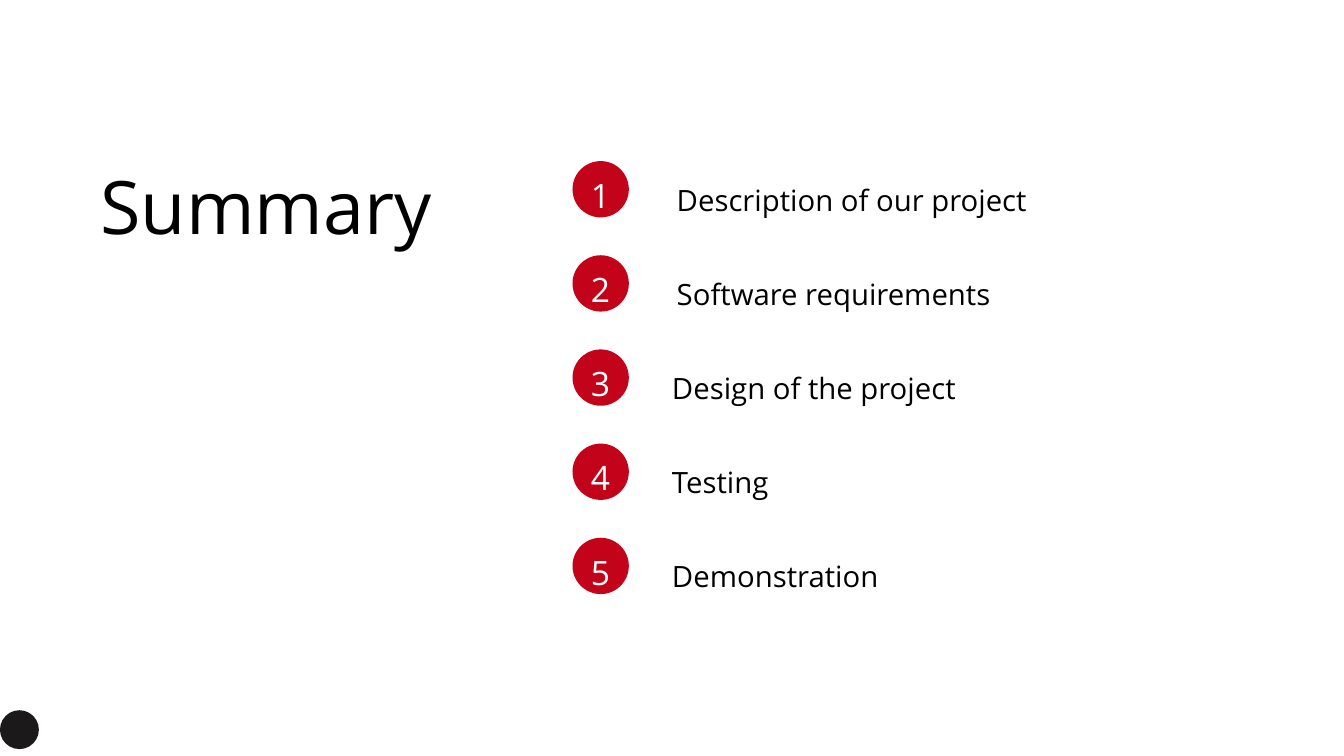
from pptx import Presentation
from pptx.dml.color import RGBColor
from pptx.enum.shapes import MSO_SHAPE as Shape
from pptx.enum.text import MSO_AUTO_SIZE as Fit, PP_ALIGN as Align
from pptx.util import Cm, Pt

FONT = "Open Sans"
RED, DARK, BLACK, WHITE = "C3031A", "1B1919", "000000", "FFFFFF"
ITEMS = [
    ("Description of our project", 3.94),
    ("Software requirements", 3.94),
    ("Design of the project", 3.76),
    ("Testing", 3.76),
    ("Demonstration", 3.76),
]


def paint(fmt, color):
    """Give a fill a solid colour from a hex string."""
    fmt.solid()
    fmt.fore_color.rgb = RGBColor.from_string(color)


def write(slide, text, box, size, lead, color=BLACK, align=Align.LEFT):
    """Place one line of text in a box of left, top, width and height."""
    frame = slide.shapes.add_textbox(*map(Cm, box)).text_frame
    frame.word_wrap = True
    frame.auto_size = Fit.SHAPE_TO_FIT_TEXT
    frame.margin_left = frame.margin_right = 0
    frame.margin_top = frame.margin_bottom = 0
    para = frame.paragraphs[0]
    para.alignment = align
    para.line_spacing = Pt(lead)
    run = para.add_run()
    run.text = text
    run.font.name, run.font.size = FONT, Pt(size)
    paint(run.font.fill, color)


def disc(slide, left, top, size, color):
    """Draw a plain filled circle."""
    shape = slide.shapes.add_shape(Shape.OVAL, Cm(left), Cm(top), Cm(size), Cm(size))
    shape.shadow.inherit = False
    shape.line.fill.background()
    paint(shape.fill, color)


def agenda(slide, left, top, pitch):
    """Place the numbered items in equal steps down the slide."""
    for index, (label, indent) in enumerate(ITEMS):
        y = top + index * pitch
        disc(slide, left, y, 2.13, RED)
        write(slide, str(index + 1), (left + 0.3, y + 0.05, 1.52, 1.78), 36, 56.5,
              color=WHITE, align=Align.CENTER)
        write(slide, label, (left + indent, y - 0.1, 20.35, 1.8), 31.4, 62.9)


def main():
    """Build the summary slide and save it."""
    deck = Presentation()
    deck.slide_width, deck.slide_height = Cm(50.8), Cm(28.58)
    slide = deck.slides.add_slide(deck.slide_layouts[6])
    paint(slide.background.fill, WHITE)
    disc(slide, 0, 26.85, 1.47, DARK)
    write(slide, "Summary", (3.8, 6.07, 13.87, 3.3), 79, 94.8)
    agenda(slide, 21.64, 6.09, 3.56)
    deck.save("out.pptx")


if __name__ == "__main__":
    main()
